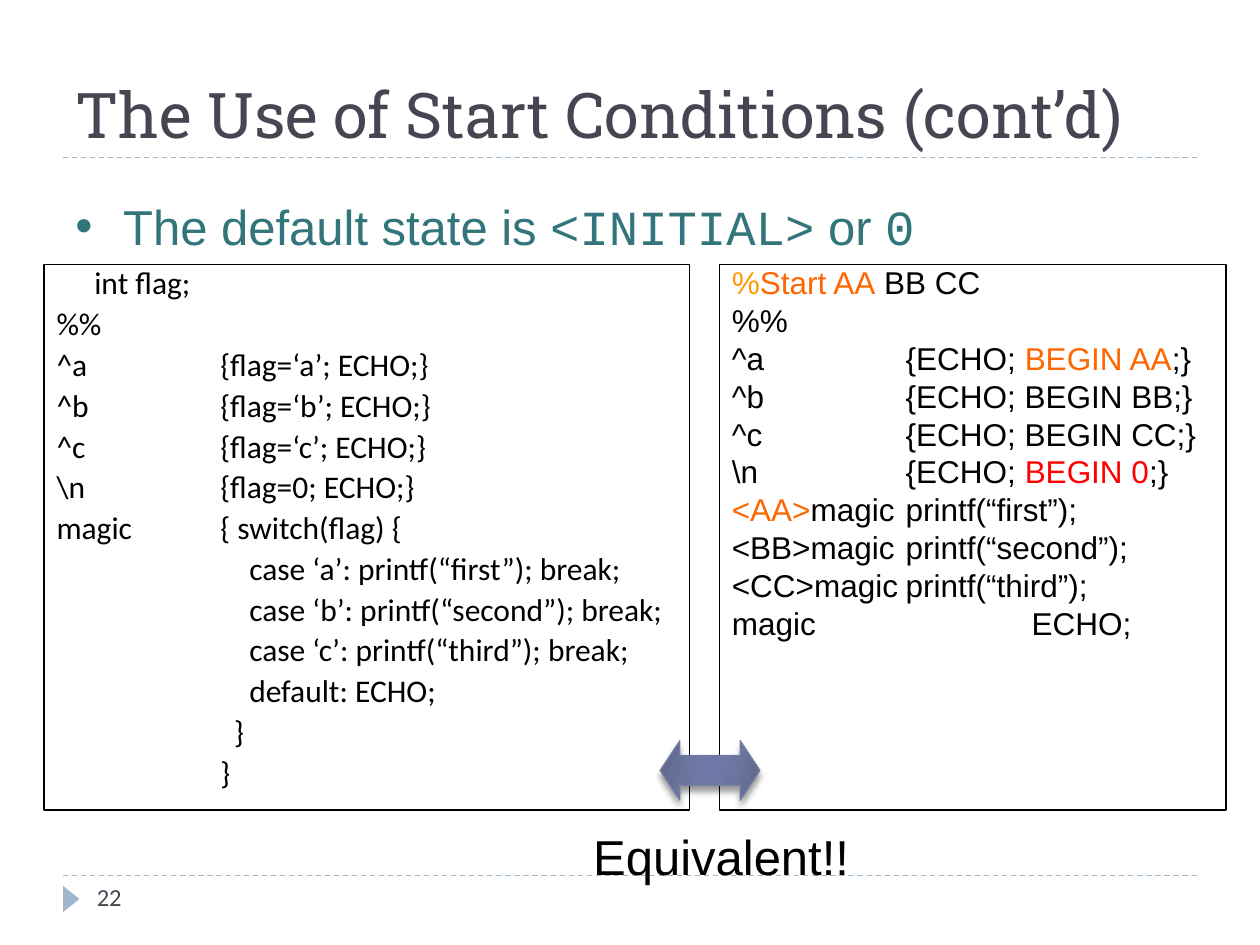
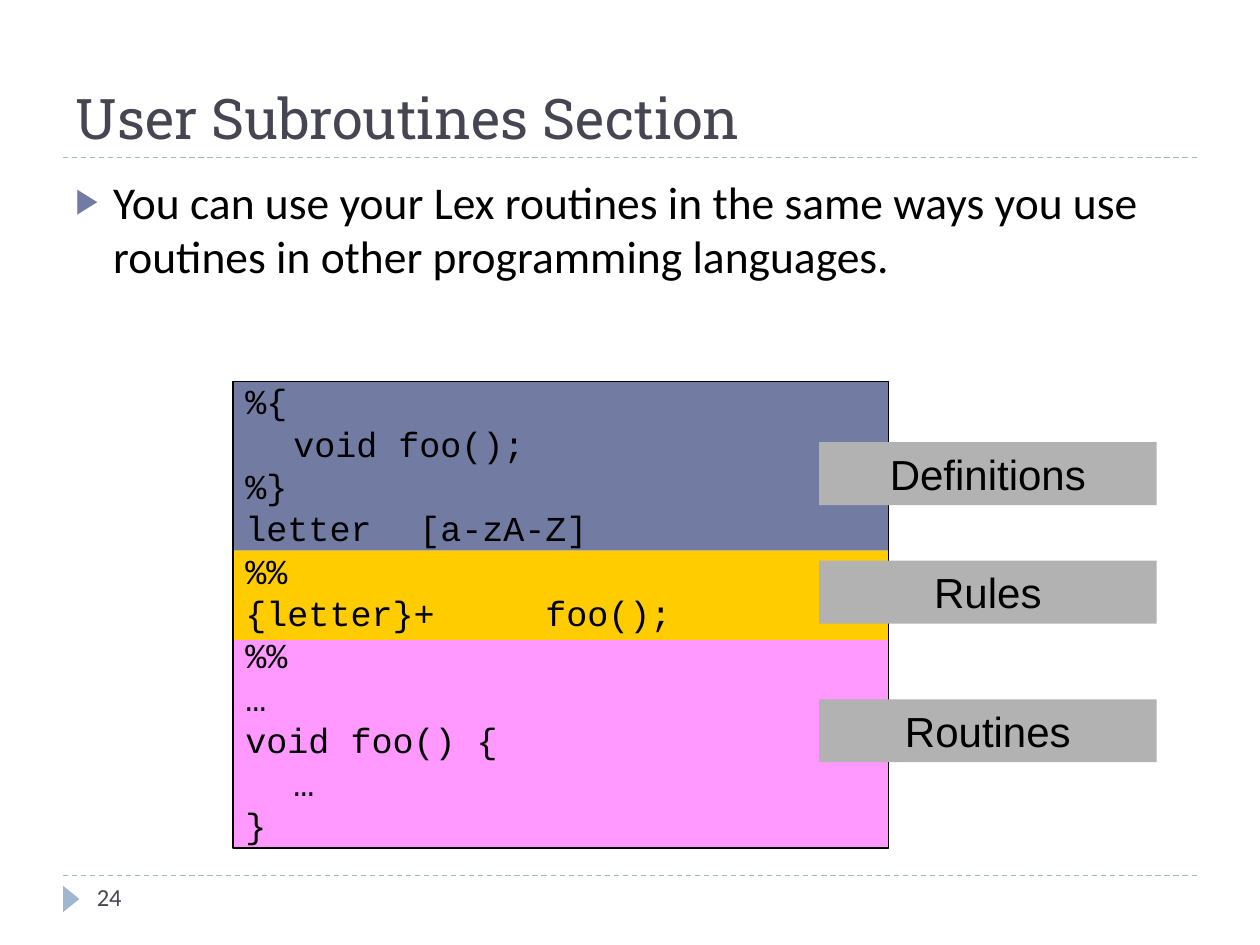
from dataclasses import dataclass
from typing import Optional

from lxml.etree import SubElement
from pptx import Presentation
from pptx.dml.color import RGBColor
from pptx.enum.dml import MSO_LINE as Dash
from pptx.enum.shapes import MSO_CONNECTOR as Link, MSO_SHAPE as Kind
from pptx.enum.text import MSO_ANCHOR as Anchor, MSO_AUTO_SIZE as Fit, PP_ALIGN as Align
from pptx.oxml.ns import qn
from pptx.util import Emu, Pt

PX = 9144  # 100 px to the inch

# Colours
BLACK = RGBColor(0x00, 0x00, 0x00)
WHITE = RGBColor(0xFF, 0xFF, 0xFF)
INK = RGBColor(0x46, 0x46, 0x53)
PALE = RGBColor(0x9F, 0xB8, 0xCD)
SLATE = RGBColor(0x72, 0x7C, 0xA3)
TEAL = RGBColor(0x32, 0x75, 0x7A)
AMBER = RGBColor(0xFF, 0x99, 0x00)
ORANGE = RGBColor(0xFF, 0x66, 0x00)
RED = RGBColor(0xFF, 0x00, 0x00)
GOLD = RGBColor(0xFF, 0xCC, 0x00)
PINK = RGBColor(0xFF, 0x99, 0xFF)
GREY = RGBColor(0xB2, 0xB2, 0xB2)
SHADES = [(0, "5D6585"), (30, "6B759E"), (45, "6E79A7"),
          (55, "6E79A7"), (73, "6B759E"), (100, "5D6585")]

# Fonts
SLAB, SANS, BODY, MONO = "Roboto Slab", "Arial", "Calibri", "Courier New"


@dataclass
class Box:
    left: int
    top: int
    width: int
    height: int

    def emu(self) -> list[Emu]:
        return [Emu(n * PX) for n in (self.left, self.top, self.width, self.height)]


@dataclass
class Run:
    text: str
    colour: Optional[RGBColor] = None
    font: Optional[str] = None


@dataclass
class Para:
    runs: list[Run]
    left: Optional[int] = None  # own indent, without a hanging first line


@dataclass
class Bullet:
    char: str
    colour: RGBColor
    size: int = 100


@dataclass
class Band:
    name: str
    height: int
    colour: RGBColor
    tag_top: int


def line(*parts) -> Para:
    """Make a paragraph of plain strings and runs."""
    return Para([p if isinstance(p, Run) else Run(p) for p in parts])


def add_bullet(props, mark: Bullet) -> None:
    tint = SubElement(props, qn("a:buClr"))
    SubElement(tint, qn("a:srgbClr"), val=str(mark.colour))
    SubElement(props, qn("a:buSzPct"), val=str(mark.size * 1000))
    SubElement(props, qn("a:buFont"), typeface=SANS)
    SubElement(props, qn("a:buChar"), char=mark.char)


def write(shape, paras: list[Para], *, size: int, font: str = SANS,
          colour: RGBColor = BLACK, hang: int = 0, pitch: Optional[float] = None,
          before: float = 0, align=Align.LEFT, anchor=Anchor.TOP,
          bullet: Optional[Bullet] = None) -> None:
    frame = shape.text_frame
    frame.word_wrap = True
    frame.auto_size = Fit.NONE
    frame.vertical_anchor = anchor
    for i, item in enumerate(paras):
        para = frame.add_paragraph() if i else frame.paragraphs[0]
        para.alignment = align
        para.space_before = Pt(before)
        if pitch:
            para.line_spacing = pitch
        props = para._p.get_or_add_pPr()
        own = item.left is not None
        props.set("marL", str((item.left if own else hang) * PX))
        props.set("indent", str(0 if own else -hang * PX))
        props.set("defTabSz", str(100 * PX))
        if bullet:
            add_bullet(props, bullet)
        for part in item.runs:
            run = para.add_run()
            run.text = part.text
            run.font.size = Pt(size)
            run.font.name = part.font or font
            run.font.color.rgb = part.colour or colour


def add_box(slide, box: Box, fill: Optional[RGBColor] = None,
            edge: Optional[RGBColor] = None, kind=Kind.RECTANGLE):
    shape = slide.shapes.add_shape(kind, *box.emu())
    shape.shadow.inherit = False
    if fill is None:
        shape.fill.background()
    else:
        shape.fill.solid()
        shape.fill.fore_color.rgb = fill
    if edge is None:
        shape.line.fill.background()
    else:
        shape.line.color.rgb = edge
        shape.line.width = Pt(0.75)
    return shape


def add_text(slide, box: Box, paras: list[Para], **style) -> None:
    write(slide.shapes.add_textbox(*box.emu()), paras, **style)


def add_rule(slide, top: int) -> None:
    ends = [Emu(n * PX) for n in (50, top, 950, top)]
    rule = slide.shapes.add_connector(Link.STRAIGHT, *ends)
    rule.line.color.rgb = PALE
    rule.line.width = Pt(0.75)
    rule.line.dash_style = Dash.DASH
    SubElement(rule._element.spPr, qn("a:effectLst"))


def add_slide(deck, title: str, size: int, page: int):
    """Start a slide with the shared rules, marker, title and number."""
    slide = deck.slides.add_slide(deck.slide_layouts[5])
    for top in (695, 125):
        add_rule(slide, top)
    mark = add_box(slide, Box(46, 707, 21, 13), PALE, kind=Kind.ISOSCELES_TRIANGLE)
    mark.rotation = 90
    head = slide.shapes.title
    head.left, head.top, head.width, head.height = Box(50, 17, 900, 108).emu()
    write(head, [line(title)], size=size, font=SLAB, colour=INK, anchor=Anchor.BOTTOM)
    add_text(slide, Box(67, 695, 217, 40), [line(str(page))],
             size=14, font=BODY, colour=INK)
    return slide


def add_arrow(slide, box: Box) -> None:
    """Double arrow with a gradient and a soft shadow."""
    arrow = add_box(slide, box, SLATE, SLATE, Kind.LEFT_RIGHT_ARROW)
    arrow.adjustments[0], arrow.adjustments[1] = 0.5, 0.33
    arrow.fill.gradient()
    arrow.fill.gradient_angle = 344
    props = arrow._element.spPr
    stops = props.find(".//" + qn("a:gsLst"))
    for old in list(stops):
        stops.remove(old)
    for place, shade in SHADES:
        stop = SubElement(stops, qn("a:gs"), pos=str(place * 1000))
        SubElement(stop, qn("a:srgbClr"), val=shade)
    cast = SubElement(props.find(qn("a:effectLst")), qn("a:outerShdw"),
                      blurRad=str(Pt(4)), dist=str(Pt(3.4)), dir="5400000",
                      rotWithShape="0")
    tint = SubElement(cast, qn("a:srgbClr"), val=str(BLACK))
    SubElement(tint, qn("a:alpha"), val="40000")


def start_slide(deck) -> None:
    slide = add_slide(deck, "The Use of Start Conditions (cont’d)", 36, 22)

    # Code with a flag
    flags = [line(t) for t in (
        "\tint flag;", "%%", "^a\t\t{flag=‘a’; ECHO;}", "^b\t\t{flag=‘b’; ECHO;}",
        "^c\t\t{flag=‘c’; ECHO;}", "\\n\t\t{flag=0; ECHO;}", "magic\t{ switch(flag) {")]
    cases = [(153, "case ‘a’: printf(“first”); break;"),
             (153, "case ‘b’: printf(“second”); break;"),
             (153, "case ‘c’: printf(“third”); break;"),
             (153, "default: ECHO;"), (141, "}"), (130, "}")]
    flags += [Para([Run(text)], left) for left, text in cases]
    write(add_box(slide, Box(35, 210, 512, 433), WHITE, BLACK), flags,
          size=18, font=BODY, hang=30, pitch=0.8, before=6)

    # Code with start conditions
    states = [
        line(Run("%", AMBER), Run("Start AA", ORANGE), " BB CC"),
        line("%%"),
        line("^a\t\t{ECHO; ", Run("BEGIN AA", ORANGE), ";}"),
        line("^b\t\t{ECHO; BEGIN BB;}"),
        line("^c\t\t{ECHO; BEGIN CC;}"),
        line("\\n\t\t{ECHO; ", Run("BEGIN 0", RED), ";}"),
        line(Run("<AA>", ORANGE), "magic\tprintf(“first”);"),
        line("<BB>magic\tprintf(“second”);"),
        line("<CC>magic\tprintf(“third”);"),
        line("magic\t\tECHO;")]
    write(add_box(slide, Box(571, 210, 402, 433), WHITE, BLACK), states,
          size=18, hang=38, pitch=0.8, before=4.3)

    # Link between the two, and the lead line
    add_arrow(slide, Box(524, 588, 79, 47))
    add_text(slide, Box(461, 651, 228, 57), [line("Equivalent!!")], size=28)
    lead = line("The default state is ", Run("<INITIAL>", font=MONO),
                " or ", Run("0", font=MONO))
    add_text(slide, Box(50, 151, 900, 50), [lead], size=28, colour=TEAL,
             hang=38, bullet=Bullet("•", TEAL))


def user_slide(deck) -> None:
    slide = add_slide(deck, "User Subroutines Section", 32, 24)
    lead = line("You can use your Lex routines in the same ways you use "
                "routines in other programming languages.")
    add_text(slide, Box(50, 133, 900, 540), [lead], size=26, font=BODY,
             hang=30, before=6, bullet=Bullet("▶", SLATE, 76))

    # Stacked bands behind the code
    bands = [Band("Definitions", 134, SLATE, 351), Band("Rules", 71, GOLD, 445),
             Band("Routines", 165, PINK, 555)]
    top = 303
    for band in bands:
        add_box(slide, Box(185, top, 520, band.height), band.colour)
        top += band.height

    # Code
    code = [line(t) for t in (
        "%{", "\tvoid foo();", "%}", "letter\t[a-zA-Z]", "%%", "{letter}+\tfoo();",
        "%%", "…", "void foo() {", "\t…", "}")]
    write(add_box(slide, Box(185, 303, 520, 370), edge=BLACK), code,
          size=20, font=MONO, hang=38, pitch=0.8, before=5)

    # Band names
    for band in bands:
        write(add_box(slide, Box(650, band.tag_top, 268, 50), GREY),
              [line(band.name)], size=24, align=Align.CENTER)


def main() -> None:
    deck = Presentation()
    deck.slide_width, deck.slide_height = Emu(1000 * PX), Emu(750 * PX)
    start_slide(deck)
    user_slide(deck)
    deck.save("out.pptx")


if __name__ == "__main__":
    main()
